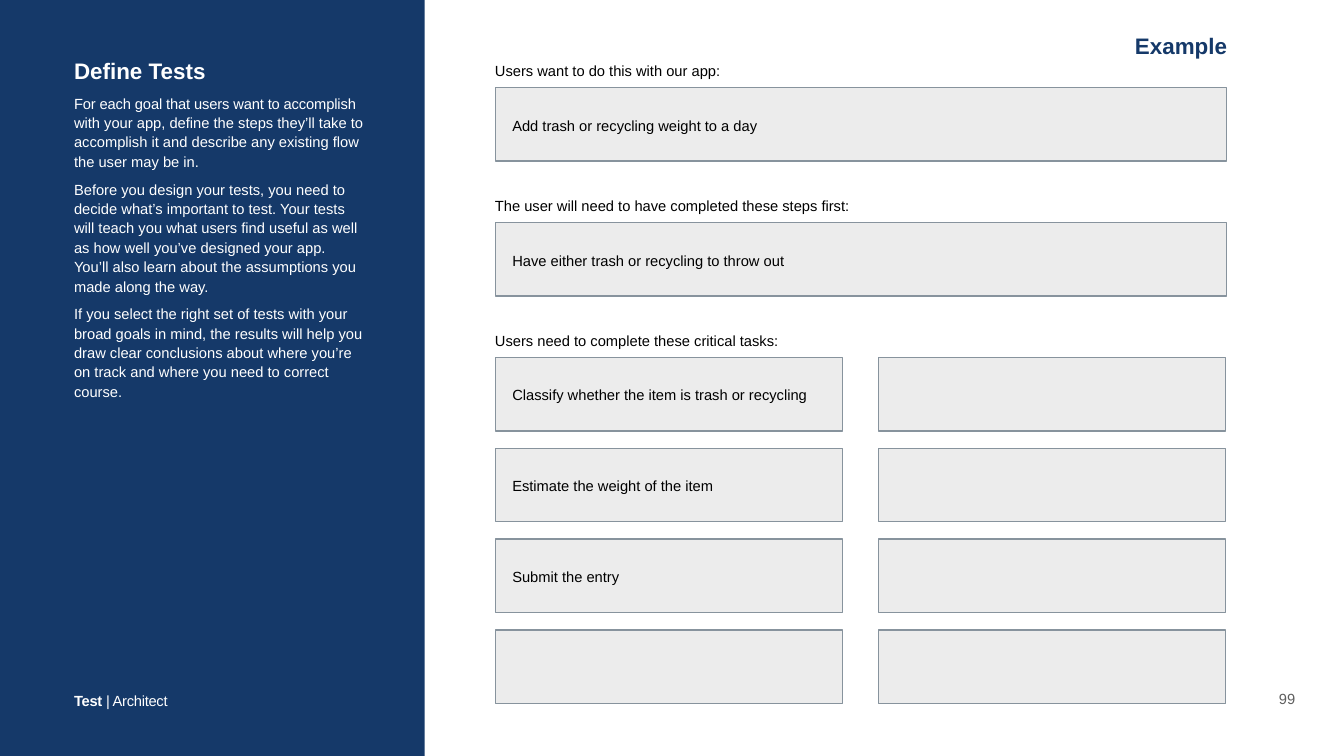
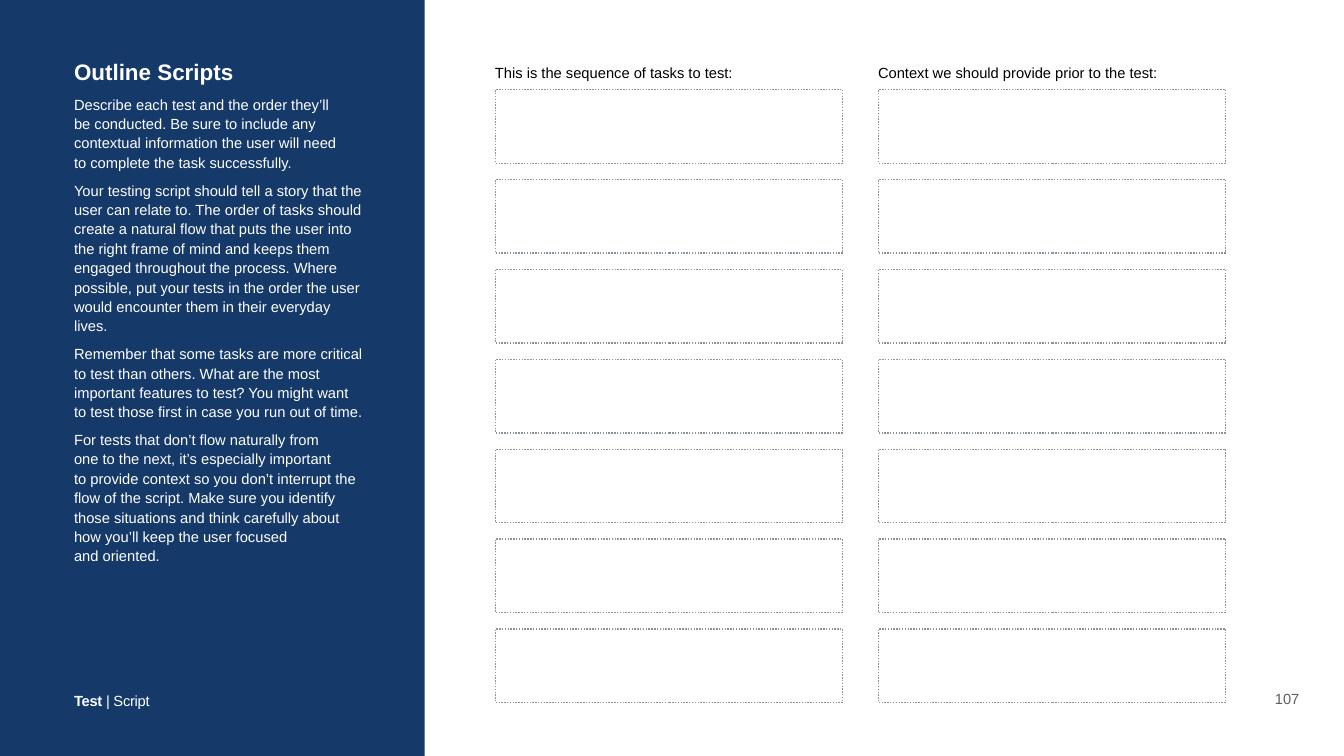
from lxml.etree import SubElement
from pptx import Presentation
from pptx.dml.color import RGBColor
from pptx.enum.dml import MSO_LINE
from pptx.enum.shapes import MSO_SHAPE
from pptx.enum.text import MSO_ANCHOR, MSO_AUTO_SIZE, PP_ALIGN
from pptx.oxml.ns import qn
from pptx.util import Pt

NAVY, WHITE, BLACK = "153969", "FFFFFF", "000000"
SLATE, SILVER, GREY = "87939D", "D5D5D5", "5E5E5E"
FONT, BODY, HEAD = "Arial", 21, 32
TOP, MID, LOW = MSO_ANCHOR.TOP, MSO_ANCHOR.MIDDLE, MSO_ANCHOR.BOTTOM
COLS = (707.8, 1255)
LABEL_X, FULL, HALF, TALL = 702.7, 1044, 496, 105


def block(slide, place, fill, edge=None, alpha=None, dash=None):
    """Add a rectangle; alpha is the fill's opacity in percent."""
    shape = slide.shapes.add_shape(MSO_SHAPE.RECTANGLE, *map(Pt, place))
    shape.shadow.inherit = False
    shape.fill.solid()
    shape.fill.fore_color.rgb = RGBColor.from_string(fill)
    if alpha:
        tint = shape._element.spPr.find(".//" + qn("a:srgbClr"))
        SubElement(tint, qn("a:alpha")).set("val", str(alpha * 1000))
    if edge:
        shape.line.color.rgb = RGBColor.from_string(edge)
        shape.line.width = Pt(2)
        shape.line.dash_style = dash
    else:
        shape.line.fill.background()
    return shape


def write(shape, paras, color, pad=5.76, anchor=TOP, line=1.1, wrap=True,
          grow=True, align=PP_ALIGN.LEFT):
    """Fill a shape with paragraphs, each a list of (text, size, bold, spacing)."""
    frame = shape.text_frame
    frame.margin_left = frame.margin_right = Pt(pad)
    frame.margin_top = frame.margin_bottom = Pt(pad)
    frame.word_wrap, frame.vertical_anchor = wrap, anchor
    frame.auto_size = MSO_AUTO_SIZE.SHAPE_TO_FIT_TEXT if grow else MSO_AUTO_SIZE.NONE
    for i, runs in enumerate(paras):
        para = frame.add_paragraph() if i else frame.paragraphs[0]
        para.alignment = align
        para.line_spacing = 1.0 if runs[0][1] == HEAD else line
        para.space_before = Pt(12 if i else 0)
        for text, size, bold, space in runs:
            for j, part in enumerate(text.split("\n")):
                if j:
                    para.add_line_break()
                run = para.add_run()
                run.text = part
                run.font.name, run.font.size, run.font.bold = FONT, Pt(size), bold
                run.font.color.rgb = RGBColor.from_string(color)
                if space:
                    run._r.get_or_add_rPr().set("spc", str(space))


# Title, side text (lists of runs with letter spacing), section, page, text top and height
pages = [
    ("Define Tests", [
        [("For each goal that users want to accomplish ", -20),
         ("with your app, define the steps they’ll take to accomplish it and "
          "describe any existing flow the user may be in.", 0)],
        [("Before you design your tests, you need to decide what’s important to "
          "test. Your tests will teach you what users find useful as well as how "
          "well you’ve designed your app. You’ll also learn about the assumptions "
          "you made along the way.", 0)],
        [("If you select the right set of tests with your broad goals in mind, the "
          "results will help you draw clear conclusions about where you’re on "
          "track and where you need to correct course.", 0)],
    ], "Architect", "99", 76.3, 495),
    ("Outline Scripts", [
        [("Describe each test and the order they’ll\nbe conducted. Be sure to "
          "include any contextual information the user will need\nto complete the "
          "task successfully.", 0)],
        [("Your testing script should tell a story that the user can relate to. "
          "The order of tasks should create a natural flow that puts the user into "
          "the right frame of mind and keeps them engaged throughout the process. "
          "Where possible, put your tests in the order the user would encounter "
          "them in their everyday lives.", 0)],
        [("Remember that some tasks are more critical to test than others. What "
          "are the most important features to test? You might want to test those "
          "first in case you run out of time.", 0)],
        [("For tests that don’t flow naturally from\none to the next, it’s "
          "especially important\nto provide context so you don’t interrupt the "
          "flow of the script. Make sure you identify those situations and think "
          "carefully about how you’ll keep the user focused\nand oriented.", 0)],
    ], "Script", "107", 77.8, 754.6),
]

deck = Presentation()
deck.slide_width, deck.slide_height = Pt(1920), Pt(1080)

# Shared frame: navy band, side text, footer and page number
slides = []
for title, paras, section, page, top, height in pages:
    slide = deck.slides.add_slide(deck.slide_layouts[6])
    slides.append(slide)
    block(slide, (-0.5, -0.5, 607, 1081), NAVY)
    side = slide.shapes.add_textbox(Pt(100), Pt(top), Pt(425), Pt(height))
    body = [[(text, BODY, False, space) for text, space in runs] for runs in paras]
    write(side, [[(title, HEAD, True, 0)]] + body, WHITE)
    foot = slide.shapes.add_textbox(
        Pt(100), Pt(978), Pt(147 if section == "Architect" else 120), Pt(36.7))
    write(foot, [[("Test", BODY, True, -40), (f" | {section}", BODY, False, -40)]],
          WHITE, line=1.2, wrap=False)
    wide = 12 + 11.7 * len(page)
    number = slide.shapes.add_textbox(Pt(1838.8 - wide / 2), Pt(980), Pt(wide), Pt(36))
    write(number, [[(page, BODY, False, 0)]], GREY, anchor=LOW, line=1.0,
          wrap=False, align=PP_ALIGN.CENTER)
define, outline = slides

# Define Tests: three labelled parts, the last a grid of tasks
labels = ["Users want to do this with our app:",
          "The user will need to have completed these steps first:",
          "Users need to complete these critical tasks:"]
for i, label in enumerate(labels):
    tag = define.shapes.add_textbox(
        Pt(LABEL_X), Pt(83.5 + 192.6 * i), Pt(1012), Pt(32.4))
    write(tag, [[(label, BODY, False, 0)]], BLACK, pad=4.32, anchor=MID)

fields = [(COLS[0], 125.3, FULL, "Add trash or recycling weight to a day"),
          (COLS[0], 318, FULL, "Have either trash or recycling to throw out")]
tasks = ["Classify whether the item is trash or recycling",
         "Estimate the weight of the item", "Submit the entry"]
for i in range(8):
    col, row = divmod(i, 4)
    fields.append((COLS[col], 510.5 + 129.9 * row, HALF,
                   tasks[i] if i < len(tasks) else ""))
for left, top, width, text in fields:
    field = block(define, (left, top, width, TALL), SILVER, SLATE, alpha=44)
    if text:
        write(field, [[(text, BODY, False, 0)]], BLACK, pad=24, anchor=MID, grow=False)

mark = define.shapes.add_textbox(Pt(1615.7), Pt(40.3), Pt(144), Pt(49.7))
write(mark, [[("Example", HEAD, True, 0)]], NAVY, anchor=MID, wrap=False)

# Outline Scripts: two columns of seven dotted boxes
heads = ["This is the sequence of tasks to test:",
         "Context we should provide prior to the test:"]
for left, head in zip(COLS, heads):
    tag = outline.shapes.add_textbox(Pt(left - 5), Pt(85.7), Pt(522), Pt(32.4))
    write(tag, [[(head, BODY, False, 0)]], BLACK, pad=4.32, anchor=MID)
    for row in range(7):
        block(outline, (left, 128.2 + 128.4 * row, HALF, TALL), WHITE, SLATE,
              dash=MSO_LINE.ROUND_DOT)

deck.save("out.pptx")
